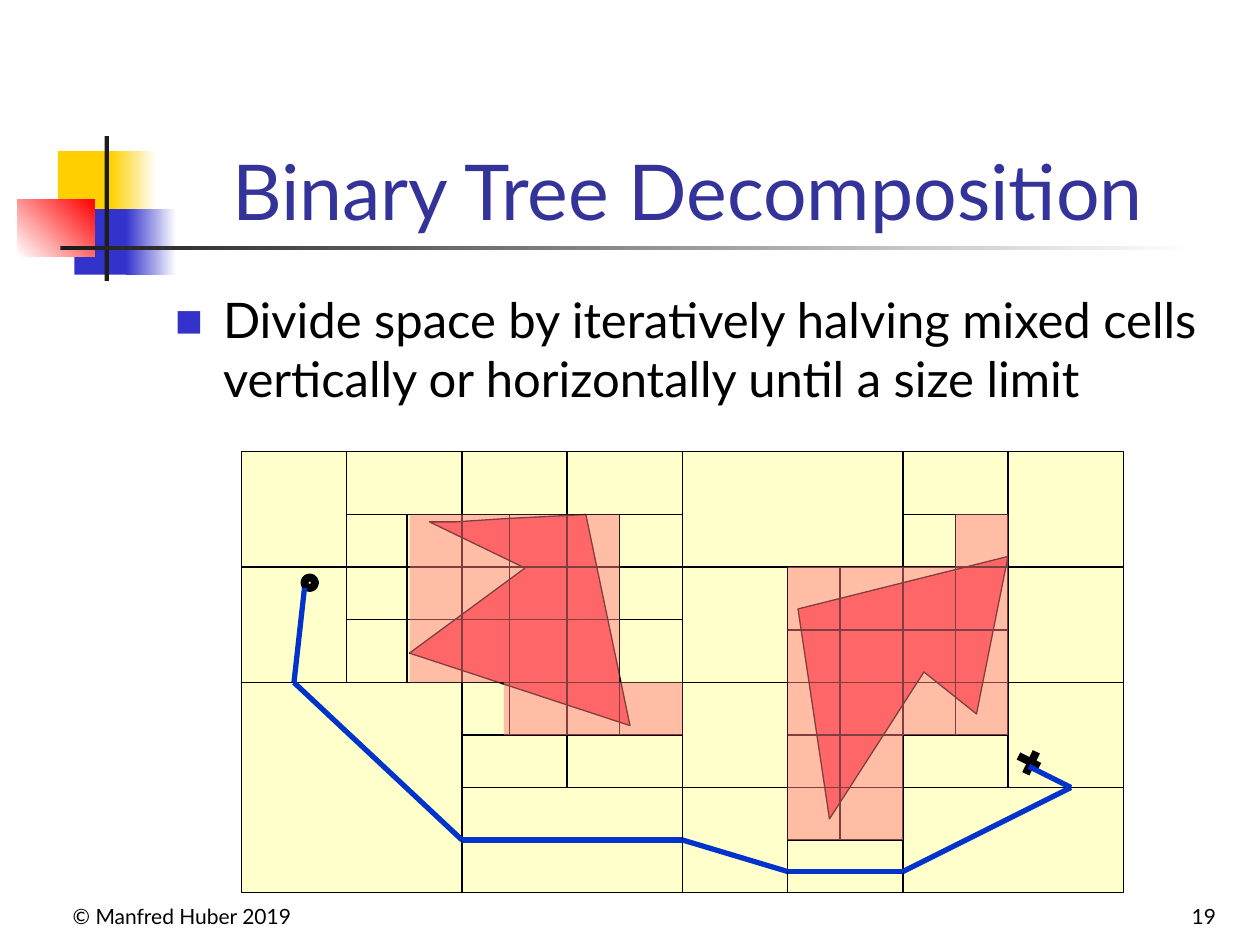
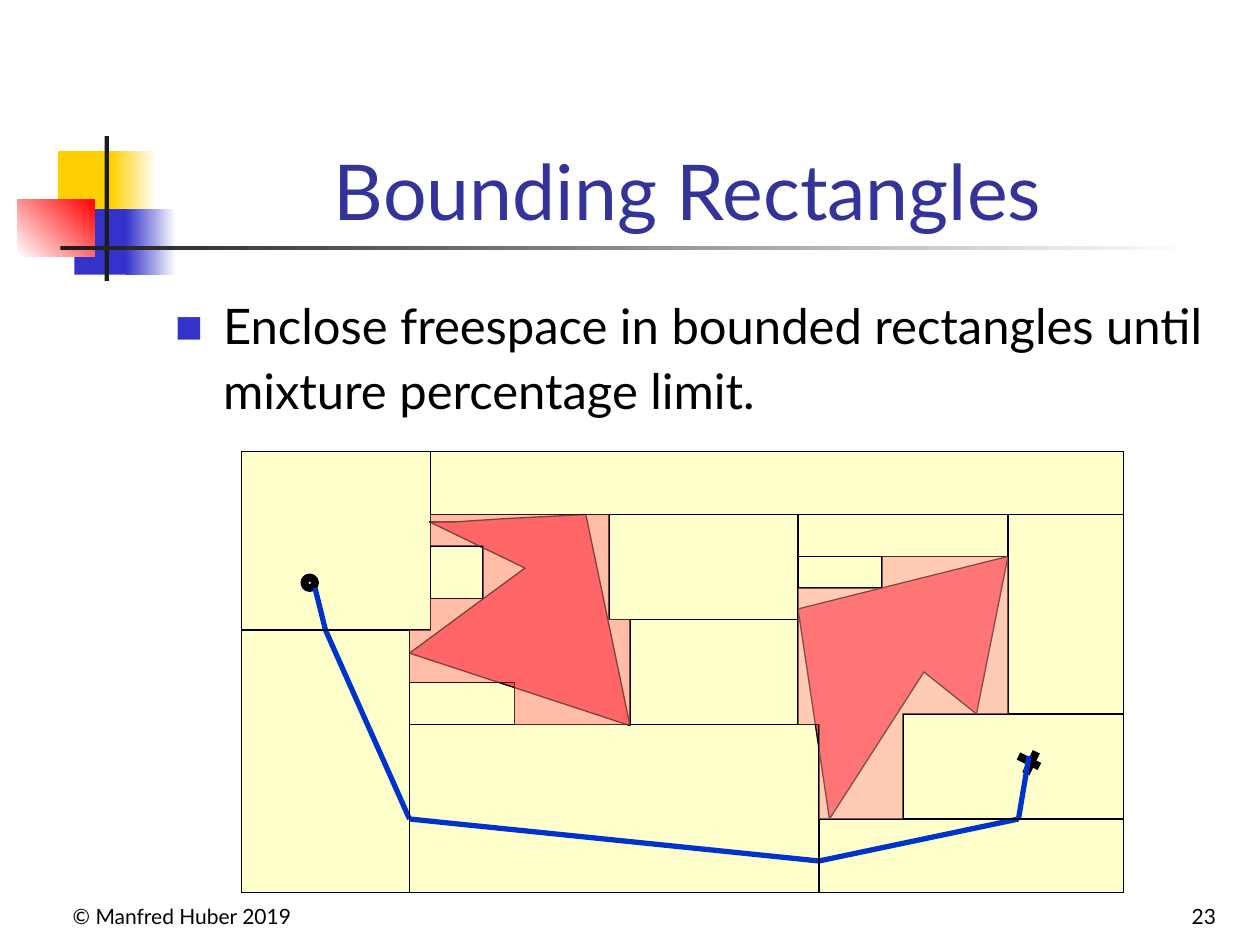
"""Builds two slides on cell decomposition of a robot's map, sharing one master look."""
from dataclasses import dataclass
from itertools import pairwise
from typing import Any, NamedTuple

from lxml.etree import SubElement
from pptx import Presentation
from pptx.dml.color import RGBColor
from pptx.enum.shapes import MSO_CONNECTOR as Connector, MSO_SHAPE as Preset
from pptx.enum.text import MSO_ANCHOR as Anchor, MSO_AUTO_SIZE as AutoSize, PP_ALIGN as Align
from pptx.oxml.ns import qn
from pptx.util import Emu, Inches, Pt

FONT = "Lato"
BLACK, WHITE, INK = "000000", "FFFFFF", "1C1C1C"
GOLD, BLUE, RED = "FFCF01", "3333CC", "FF0000"
TITLE, ROUTE = "333399", "0033CC"
FREE, OBSTACLE, MIXED, MIXED_LIGHT = "FFFFCC", "FF5050", "FF7C80", "FF9999"
THIN, ROUTE_WIDTH, MARK_WIDTH = 0.75, 3, 4.5
Point = tuple[float, float]


@dataclass(frozen=True)
class Grid:
    left: float
    top: float
    cell: float

    def x(self, column: float) -> Emu:
        return Inches(self.left + column * self.cell)

    def y(self, row: float) -> Emu:
        return Inches(self.top + row * self.cell)

    def box(self, left: float, top: float, width: float, height: float) -> tuple[Emu, ...]:
        return self.x(left), self.y(top), Inches(width * self.cell), Inches(height * self.cell)


PAGE = Grid(0, 0, 0.1)
MAP = Grid(23 / 12, 43 / 12, 1 / 12)


class Block(NamedTuple):
    box: tuple[float, float, float, float]
    colours: tuple[str, ...]
    angle: int = 0


class Area(NamedTuple):
    corners: list[Point]
    fill: str


class Page(NamedTuple):
    title: str
    bullet: str
    number: str
    spacing: float


ORNAMENT = [
    Block((4.6, 12, 4.8, 5.2), (GOLD,)),
    Block((8.8, 12, 3.6, 5.2), (GOLD, WHITE)),
    Block((5.9, 16.6, 4.6, 5.2), (BLUE,)),
    Block((10, 16.6, 4, 5.2), (BLUE, WHITE)),
    Block((1.4, 15.8, 6.1, 4.6), (WHITE, RED), 45),
    Block((8.3, 10.8, 0.35, 11.5), (INK,)),
    Block((4.8, 19.5, 90, 0.35), (INK, WHITE)),
]

OBSTACLES = [
    Area([(32.8, 6), (25, 6.4), (21.9, 6.6), (20.4, 6.7), (17.9, 6.7),
          (27, 11.1), (16, 19.2), (37, 26.1)], OBSTACLE),
    Area([(53, 15), (56, 35), (65, 21), (70, 25), (73, 10)], OBSTACLE),
]
GOAL_CROSS = [[(74, 29), (76, 30)], [(74.7, 30.7), (75.7, 28.6)]]

COLUMN_SPLITS = [
    (42, (0, 42)), (21, (0, 22, 42)), (63, (0, 22, 42)), (10, (0, 11, 22)),
    (31, (0, 11, 22, 32)), (52, (11, 22, 32, 42)), (73, (0, 11, 22, 32)),
    (15.75, (6, 11, 16, 22)), (25.5, (6, 11, 16, 22, 27)), (36, (6, 11, 16, 22, 27)),
    (57, (11, 17, 22, 27, 32, 37)), (68, (6, 11, 17, 22, 27)),
]
ROW_SPLITS = [
    (22, (0, 42, 84)), (11, (0, 21, 42, 63, 84)), (32, (21, 42, 63, 84)),
    (6, (10, 21, 31, 42)), (6, (63, 73)), (16, (10, 21, 31, 42)),
    (27, (21, 31, 42)), (27, (52, 63, 73)), (17, (52, 63, 73)), (37, (52, 63)),
]
TREE_MIXED = [
    Area([(16, 6), (36, 6), (36, 22), (42, 22), (42, 27), (25, 27), (25, 22), (16, 22)], MIXED),
    Area([(52, 11), (68, 11), (68, 6), (73, 6), (73, 27), (63, 27), (63, 37), (52, 37)], MIXED),
]
TREE_ROUTE = [(6, 13), (5, 22), (21, 37), (42, 37), (52, 40), (63, 40), (79, 32), (75, 30)]

FREE_RECTANGLES = [
    (18, 0, 66, 6), (0, 0, 18, 17), (0, 17, 16, 25), (16, 26, 39, 16), (35, 6, 18, 10),
    (37, 16, 16, 10), (55, 35, 29, 7), (63, 25, 21, 10), (73, 6, 11, 19), (53, 6, 20, 4),
    (18, 9, 5, 5), (53, 10, 8, 3), (16, 22, 10, 4),
]
RECTANGLE_MIXED = [
    Area([(18, 6), (35, 6), (35, 16), (37, 16), (37, 26), (26, 26), (26, 22), (16, 22),
          (16, 17), (18, 17), (18, 14), (23, 14), (23, 9), (18, 9)], MIXED),
    Area([(53, 13), (61, 13), (61, 10), (73, 10), (73, 25), (63, 25), (63, 35), (55, 35),
          (55, 26), (53, 26)], MIXED_LIGHT),
]
RECTANGLE_ROUTE = [(7, 13), (8, 17), (16, 35), (55, 39), (74, 35), (75, 29)]


def colour(value: str) -> RGBColor:
    return RGBColor.from_string(value)


def apply(target: Any, values: dict[str, Any]) -> None:
    for name, value in values.items():
        setattr(target, name, value)


def paint(shape: Any, fill: str | None = None, line: str | None = None, width: float = THIN) -> None:
    shape.shadow.inherit = False
    if fill:
        shape.fill.solid()
        shape.fill.fore_color.rgb = colour(fill)
    else:
        shape.fill.background()
    if line:
        shape.line.color.rgb = colour(line)
        shape.line.width = Pt(width)
    else:
        shape.line.fill.background()


def add_block(shapes: Any, block: Block) -> Any:
    shape = shapes.add_shape(Preset.RECTANGLE, *PAGE.box(*block.box))
    paint(shape, block.colours[0])
    if len(block.colours) > 1:
        shape.fill.gradient()
        shape.fill.gradient_angle = block.angle
        for stop, value in zip(shape.fill.gradient_stops, block.colours):
            stop.color.rgb = colour(value)
    return shape


def add_ornament(presentation: Any, slide: Any) -> None:
    tree = presentation.slide_master.shapes.element
    for number, block in enumerate(ORNAMENT):
        element = add_block(slide.shapes, block).element
        element.nvSpPr.cNvPr.set("id", str(100 + number))
        tree.insert(2 + number, element)


def add_area(shapes: Any, area: Area, line: str | None = None, opacity: int = 100) -> None:
    points = [(MAP.x(column), MAP.y(row)) for column, row in area.corners]
    builder = shapes.build_freeform(*points[0])
    builder.add_line_segments(points[1:], close=True)
    shape = builder.convert_to_shape()
    paint(shape, area.fill, line)
    if opacity < 100:
        tint = shape.element.spPr.find(qn("a:solidFill")).find(qn("a:srgbClr"))
        SubElement(tint, qn("a:alpha"), val=str(opacity * 1000))


def add_polyline(shapes: Any, points: list[Point], line: str = BLACK, width: float = THIN) -> None:
    for (x1, y1), (x2, y2) in pairwise(points):
        connector = shapes.add_connector(
            Connector.STRAIGHT, MAP.x(x1), MAP.y(y1), MAP.x(x2), MAP.y(y2))
        connector.line.color.rgb = colour(line)
        connector.line.width = Pt(width)
        SubElement(connector.element.spPr, qn("a:effectLst"))


def add_cell(shapes: Any, box: tuple[float, ...], fill: str | None = None) -> None:
    paint(shapes.add_shape(Preset.RECTANGLE, *MAP.box(*box)), fill, BLACK)


def add_map(slide: Any) -> None:
    shapes = slide.shapes.add_group_shape().shapes
    add_cell(shapes, (0, 0, 84, 42), FREE)
    for obstacle in OBSTACLES:
        add_area(shapes, obstacle, BLACK)
    paint(shapes.add_shape(Preset.OVAL, *MAP.box(6, 12, 1, 1)), FREE, BLACK, MARK_WIDTH)
    for stroke in GOAL_CROSS:
        add_polyline(shapes, stroke, BLACK, MARK_WIDTH)


def add_route(slide: Any, points: list[Point]) -> None:
    add_polyline(slide.shapes.add_group_shape().shapes, points, ROUTE, ROUTE_WIDTH)


def write(shape: Any, box: tuple[float, ...], text: str, size: int, ink: str,
          frame: dict[str, Any], layout: dict[str, Any]) -> Any:
    apply(shape, dict(zip(("left", "top", "width", "height"), PAGE.box(*box))))
    apply(shape.text_frame, {"word_wrap": True, "auto_size": AutoSize.NONE} | frame)
    paragraph = shape.text_frame.paragraphs[0]
    apply(paragraph, layout)
    run = paragraph.add_run()
    run.text = text
    apply(run.font, {"name": FONT, "size": Pt(size)})
    run.font.color.rgb = colour(ink)
    return paragraph


def add_bullet(paragraph: Any) -> None:
    properties = paragraph._p.get_or_add_pPr()
    properties.set("marL", str(Inches(0.38)))
    properties.set("indent", str(-Inches(0.38)))
    tint = SubElement(properties, qn("a:buClr"))
    SubElement(tint, qn("a:srgbClr"), val=BLUE)
    SubElement(properties, qn("a:buSzPct"), val="60000")
    SubElement(properties, qn("a:buFont"), typeface=FONT)
    SubElement(properties, qn("a:buChar"), char="■")


def add_page(presentation: Any, page: Page) -> Any:
    slide = presentation.slides.add_slide(presentation.slide_layouts[1])
    title, body = slide.placeholders
    bottom = {"vertical_anchor": Anchor.BOTTOM}
    write(title, (14.2, 6.7, 80.8, 12.5), page.title, 44, TITLE, bottom,
          {"alignment": Align.CENTER})
    add_bullet(write(body, (12.9, 22.5, 85, 15), page.bullet, 28, BLACK,
                     {"vertical_anchor": Anchor.TOP},
                     {"line_spacing": page.spacing, "space_before": Pt(7)}))
    for left, width, text in ((3.3, 20.8, "© Manfred Huber 2019"), (74.2, 23.3, page.number)):
        box = (left, 69.2, width, 5)
        write(slide.shapes.add_textbox(*PAGE.box(*box)), box, text, 12, BLACK, bottom,
              {"alignment": Align.RIGHT})
    return slide


def add_tree(slide: Any) -> None:
    add_map(slide)
    for column, rows in COLUMN_SPLITS:
        add_polyline(slide.shapes, [(column, row) for row in rows])
    for row, columns in ROW_SPLITS:
        add_polyline(slide.shapes, [(column, row) for column in columns])
    for area in TREE_MIXED:
        add_area(slide.shapes, area, opacity=50)
    add_route(slide, TREE_ROUTE)


def add_rectangles(slide: Any) -> None:
    add_map(slide)
    add_route(slide, RECTANGLE_ROUTE)
    shapes = slide.shapes.add_group_shape().shapes
    for box in FREE_RECTANGLES:
        add_cell(shapes, box)
    for area in RECTANGLE_MIXED:
        add_area(shapes, area, opacity=50)


def main() -> None:
    presentation = Presentation()
    apply(presentation, {"slide_width": Inches(10), "slide_height": Inches(7.5)})
    tree = add_page(presentation, Page(
        "Binary Tree Decomposition",
        "Divide space by iteratively halving mixed cells vertically or horizontally "
        "until a size limit", "19", 1.0))
    add_ornament(presentation, tree)
    add_tree(tree)
    add_rectangles(add_page(presentation, Page(
        "Bounding Rectangles",
        "Enclose freespace in bounded rectangles until mixture percentage limit.", "23", 1.1)))
    presentation.save("out.pptx")


if __name__ == "__main__":
    main()
